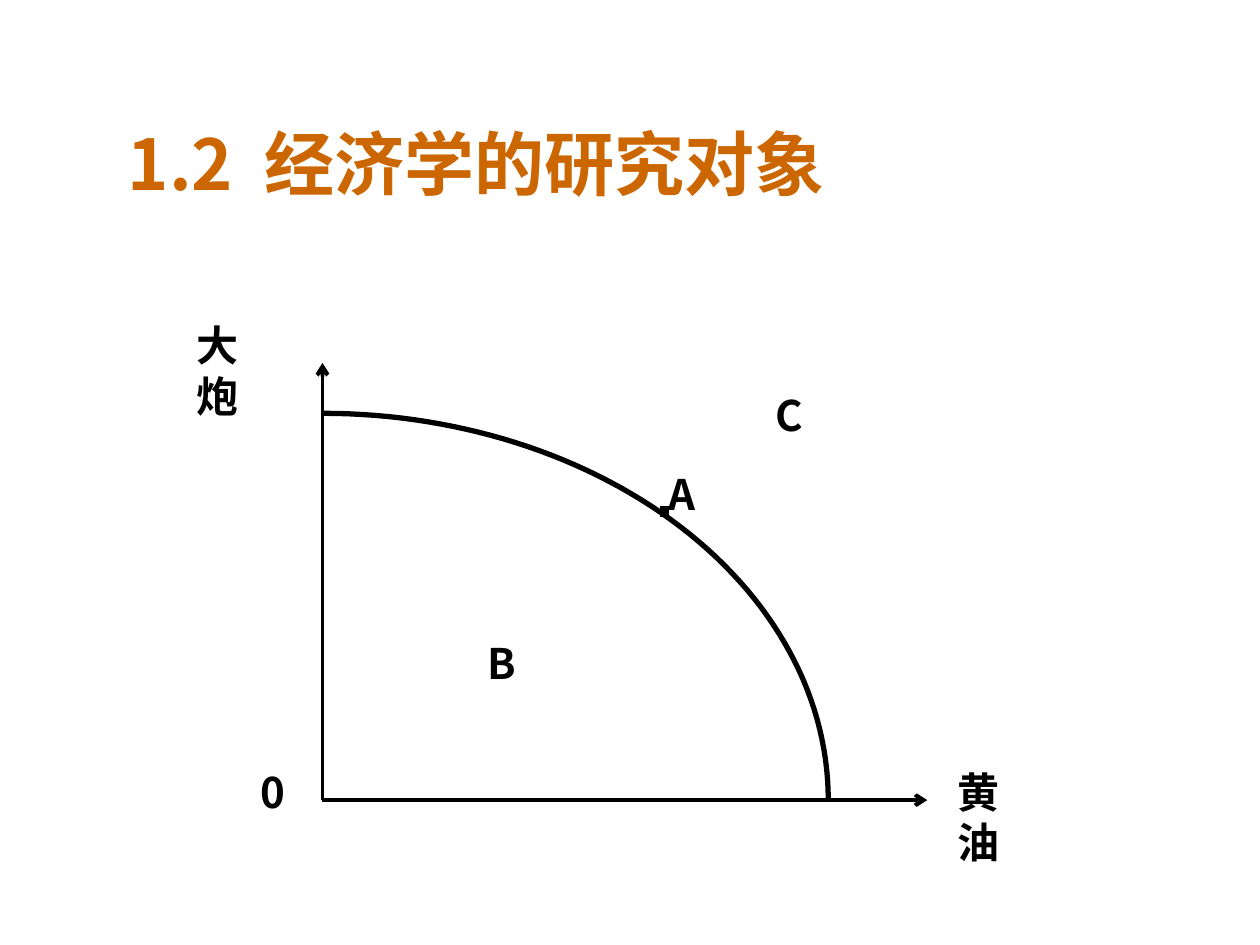
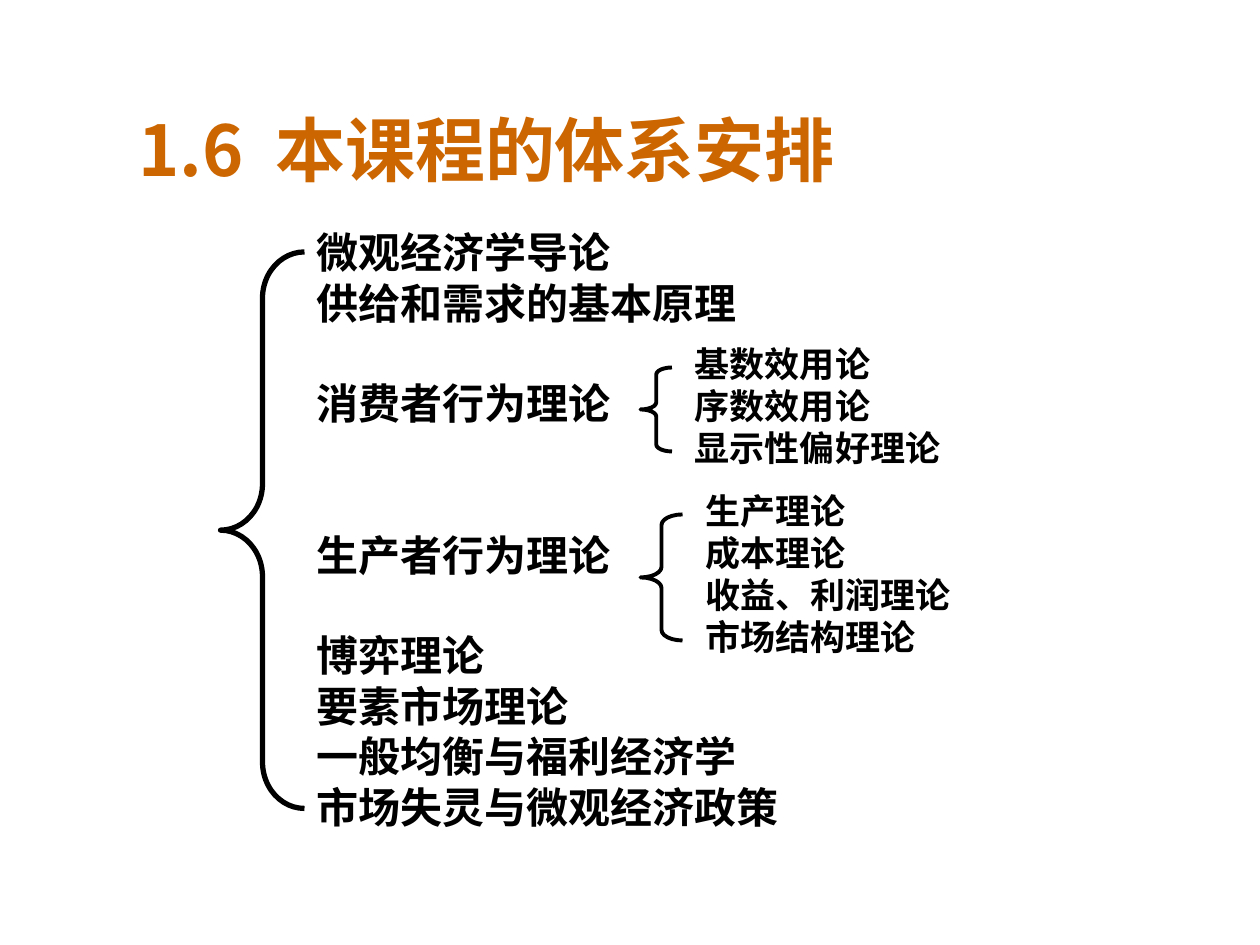
from math import cos, pi, sin

from lxml import etree
from pptx import Presentation
from pptx.dml.color import RGBColor
from pptx.enum.shapes import MSO_CONNECTOR, MSO_SHAPE
from pptx.enum.text import MSO_ANCHOR
from pptx.oxml.ns import qn
from pptx.util import Pt

STRAIGHT = MSO_CONNECTOR.STRAIGHT
LEFT_BRACE = MSO_SHAPE.LEFT_BRACE
MIDDLE = MSO_ANCHOR.MIDDLE

FONT = "Noto Sans CJK SC"
ORANGE, BLACK = "CC6600", "000000"
TITLE_SIZE, BODY_SIZE, DETAIL_SIZE = 40, 24, 20
LINE_HEIGHT = 1.2  # natural line height of the font, in ems


def rgb(value):
    return RGBColor.from_string(value)


def add_run(p, text, size, color=BLACK, spacing=0):
    r = p.add_run()
    r.text = text
    r.font.size = Pt(size)
    r.font.bold = True
    r.font.name = FONT
    r.font.color.rgb = rgb(color)
    r_pr = r._r.get_or_add_rPr()
    etree.SubElement(r_pr, qn("a:ea"), typeface=FONT)
    if spacing:
        r_pr.set("spc", str(spacing * 100))


def add_box(s, box, wrap=True):
    tf = s.shapes.add_textbox(*map(Pt, box)).text_frame
    tf.word_wrap = wrap
    return tf


def add_title(s, box, number, text):
    tf = add_box(s, box)
    tf.vertical_anchor = MIDDLE
    p = tf.paragraphs[0]
    add_run(p, number, TITLE_SIZE, ORANGE)
    add_run(p, " ", TITLE_SIZE, ORANGE, spacing=9)
    add_run(p, text, TITLE_SIZE, ORANGE)


def add_list(s, box, size, items):
    """Items are (text, number of lines left free above it)."""
    tf = add_box(s, box)
    for i, (text, free_lines) in enumerate(items):
        p = tf.add_paragraph() if i else tf.paragraphs[0]
        if free_lines:
            p.space_before = Pt(free_lines * size * LINE_HEIGHT)
        add_run(p, text, size)


def add_line(s, start, end, width, arrow=False):
    line = s.shapes.add_connector(STRAIGHT, *map(Pt, (*start, *end)))
    line.line.color.rgb = rgb(BLACK)
    line.line.width = Pt(width)
    if arrow:
        etree.SubElement(line.line._get_or_add_ln(), qn("a:tailEnd"), type="arrow")
    etree.SubElement(line._element.spPr, qn("a:effectLst"))


def style_outline(shape, width):
    shape.shadow.inherit = False
    shape.fill.background()
    shape.line.color.rgb = rgb(BLACK)
    shape.line.width = Pt(width)


def add_brace(s, box, width):
    sp = s.shapes.add_shape(LEFT_BRACE, *map(Pt, box))
    w, h = box[2:]
    sp.adjustments[0] = h / 12 / min(w, h)
    style_outline(sp, width)


def add_frontier(s, origin, rx, ry, steps=60):
    """Quarter ellipse from the vertical axis to the horizontal one."""
    x, y = origin
    angles = [pi / 2 * i / steps for i in range(steps + 1)]
    points = [(Pt(x + rx * sin(a)), Pt(y - ry * cos(a))) for a in angles]
    outline = s.shapes.build_freeform(*points[0])
    outline.add_line_segments(points[1:], close=False)
    style_outline(outline.convert_to_shape(), 3)


def add_frontier_chart(s, box):
    left, top, w, h = box
    origin = (left, top + h)
    add_line(s, origin, (left, top), 2.25, arrow=True)
    add_frontier(s, origin, 289, 221)
    add_line(s, origin, (left + w, top + h), 2.25, arrow=True)
    add_line(s, (left + 193, top + 85), (left + 198, top + 85), 6)
    labels = [("黄油", 355.7, 226.8, 62), ("大炮", -79.2, -28.1, 62),
              ("0", -42.5, 226.8, 29), ("A", 190.8, 56.9, 31),
              ("B", 87.1, 153.4, 30), ("C", 252, 11.5, 30)]
    for text, dx, dy, label_w in labels:
        tf = add_box(s, (left + dx, top + dy, label_w, 36), wrap=False)
        add_run(tf.paragraphs[0], text, BODY_SIZE)


def add_course_outline(s, box):
    left, top, w, h = box
    topics = [("微观经济学导论", 0), ("供给和需求的基本原理", 0),
              ("消费者行为理论", 1), ("生产者行为理论", 2), ("博弈理论", 1),
              ("要素市场理论", 0), ("一般均衡与福利经济学", 0),
              ("市场失灵与微观经济政策", 0)]
    add_list(s, (left + 48, top, w - 48, h), BODY_SIZE, topics)
    add_brace(s, (left, top + 18, 48, 318), 3)

    branches = [
        (66, 264, 18, ["基数效用论", "序数效用论", "显示性偏好理论"]),
        (150, 270, 24, ["生产理论", "成本理论", "收益、利润理论", "市场结构理论"]),
    ]
    pitch = DETAIL_SIZE * LINE_HEIGHT
    for dy, dx, brace_w, details in branches:
        n = len(details)
        add_list(s, (left + dx, top + dy, 174, n * pitch + 7.2), DETAIL_SIZE,
                 [(text, 0) for text in details])
        add_brace(s, (left + 240, top + dy + 18, brace_w, (n - 1) * pitch), 2.25)


def main():
    prs = Presentation()
    prs.slide_width, prs.slide_height = Pt(720), Pt(540)
    blank = prs.slide_layouts[6]

    s = prs.slides.add_slide(blank)
    add_frontier_chart(s, (184.3, 207.4, 345.6, 249.8))
    add_title(s, (66, 72, 570, 42), "1.2", "经济学的研究对象")

    s = prs.slides.add_slide(blank)
    add_title(s, (72, 60, 498, 50), "1.6", "本课程的体系安排")
    add_course_outline(s, (126, 126, 468, 352.8))

    prs.save("out.pptx")


if __name__ == "__main__":
    main()
